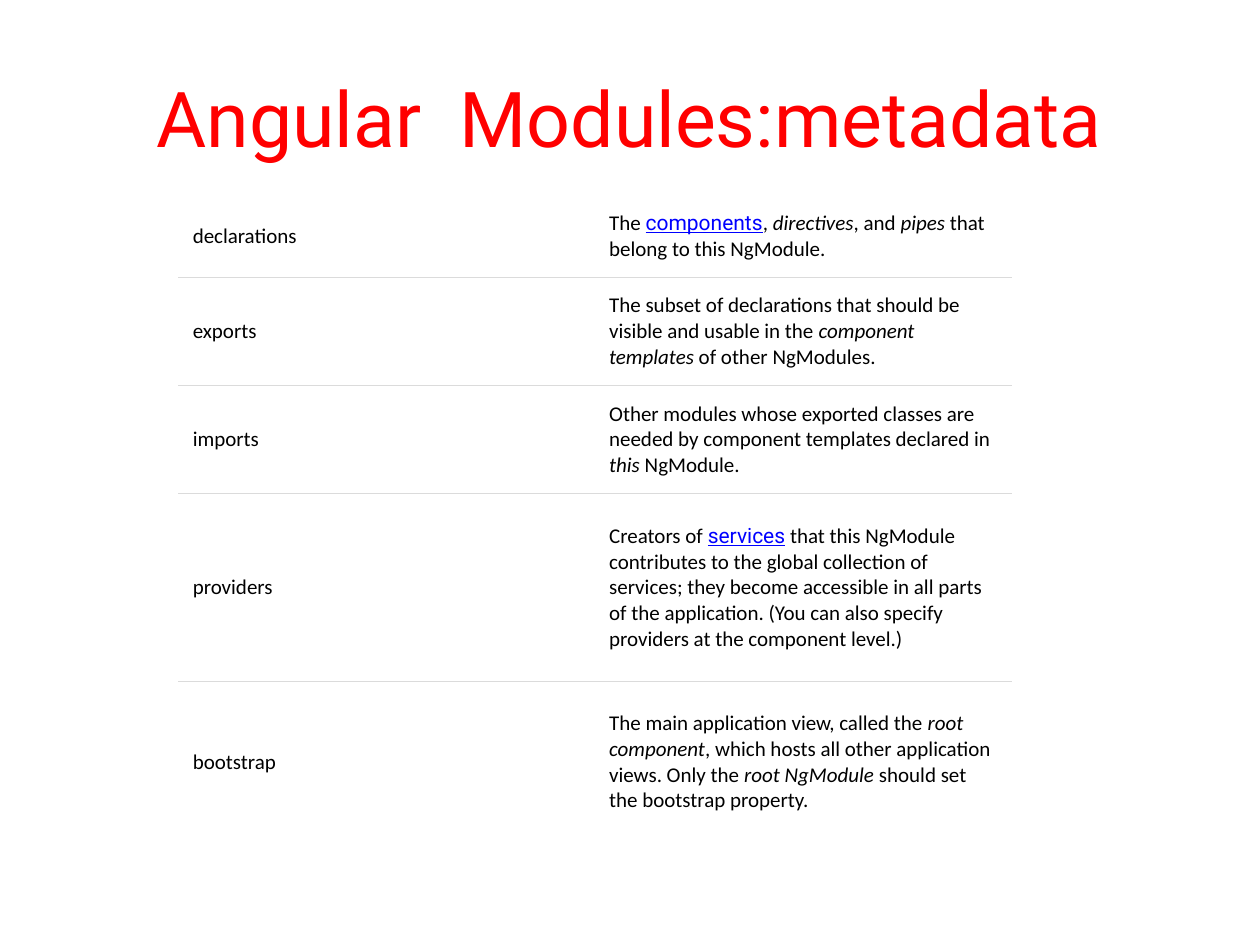
"""Builds a slide with a table of the metadata properties of Angular modules."""
from dataclasses import dataclass

import pptx
import pptx.dml.color
import pptx.enum.text
import pptx.oxml
import pptx.oxml.ns
import pptx.util

Inches = pptx.util.Inches
Pt = pptx.util.Pt
RGBColor = pptx.dml.color.RGBColor
MIDDLE = pptx.enum.text.MSO_ANCHOR.MIDDLE
CENTER = pptx.enum.text.PP_ALIGN.CENTER

RED = RGBColor(0xFF, 0x00, 0x00)
BLUE = RGBColor(0x00, 0x00, 0xFF)
BLACK = RGBColor(0x00, 0x00, 0x00)
WHITE = RGBColor(0xFF, 0xFF, 0xFF)
RULE_GRAY = RGBColor(0xDB, 0xDB, 0xDB)

COLUMN_WIDTH = Inches(3.305)
CELL_MARGIN = Inches(0.11)


@dataclass(frozen=True)
class Span:
    text: str
    italic: bool = False
    term: bool = False


@dataclass(frozen=True)
class Property:
    name: str
    height: float
    description: tuple[Span, ...]


PROPERTIES = (
    Property("declarations", 0.65, (
        Span("The "), Span("components", term=True), Span(", "),
        Span("directives", italic=True), Span(", and "),
        Span("pipes", italic=True), Span(" that belong to this NgModule."),
    )),
    Property("exports", 0.86, (
        Span("The subset of declarations that should be visible and usable in the "),
        Span("component templates", italic=True), Span(" of other NgModules."),
    )),
    Property("imports", 0.86, (
        Span("Other modules whose exported classes are needed by component "
             "templates declared in "),
        Span("this ", italic=True), Span("NgModule."),
    )),
    Property("providers", 1.49, (
        Span("Creators of "), Span("services", term=True),
        Span(" that this NgModule contributes to the global collection of services; "
             "they become accessible in all parts of the application. "
             "(You can also specify providers at the component level.)"),
    )),
    Property("bootstrap", 1.28, (
        Span("The main application view, called the "),
        Span("root component", italic=True),
        Span(", which hosts all other application views. Only the "),
        Span("root NgModule", italic=True),
        Span(" should set the bootstrap property."),
    )),
)


def add_text(paragraph, text: str, *, size: float = 12, font: str = "Calibri",
             color: RGBColor = BLACK, italic: bool = False,
             underline: bool = False) -> None:
    run = paragraph.add_run()
    run.text = text
    run.font.size = Pt(size)
    run.font.name = font
    run.font.color.rgb = color
    run.font.italic = italic
    run.font.underline = underline


def add_title(slide, text: str) -> None:
    title = slide.shapes.add_textbox(Inches(0.5), Inches(0.3), Inches(9), Inches(1.25))
    frame = title.text_frame
    frame.word_wrap = True
    frame.vertical_anchor = MIDDLE
    heading = frame.paragraphs[0]
    heading.alignment = CENTER
    add_text(heading, text, size=44, font="Roboto", color=RED)


def draw_rules(cell, edges: list[str]) -> None:
    properties = cell._tc.get_or_add_tcPr()
    for position, edge in enumerate(edges):
        rule = pptx.oxml.parse_xml(
            f'<a:{edge} {pptx.oxml.ns.nsdecls("a")} w="{Pt(0.75)}"><a:solidFill>'
            f'<a:srgbClr val="{RULE_GRAY}"/></a:solidFill></a:{edge}>')
        properties.insert(position, rule)


def fill_cell(cell, spans: tuple[Span, ...], edges: list[str]) -> None:
    cell.fill.solid()
    cell.fill.fore_color.rgb = WHITE
    cell.vertical_anchor = MIDDLE
    cell.margin_left = cell.margin_right = CELL_MARGIN
    cell.margin_top = cell.margin_bottom = CELL_MARGIN
    for span in spans:
        add_text(cell.text_frame.paragraphs[0], span.text, italic=span.italic,
                 underline=span.term, font="Roboto" if span.term else "Calibri",
                 color=BLUE if span.term else BLACK)
    draw_rules(cell, edges)


def add_property_table(slide, properties: tuple[Property, ...]) -> None:
    total_height = Inches(sum(entry.height for entry in properties))
    table = slide.shapes.add_table(len(properties), 2, Inches(1.42), Inches(1.55),
                                   2 * COLUMN_WIDTH, total_height).table
    table.first_row = False
    table.horz_banding = False
    for index, entry in enumerate(properties):
        table.rows[index].height = Inches(entry.height)
        edges = ["lnT"] if index > 0 else []
        if index < len(properties) - 1:
            edges.append("lnB")
        fill_cell(table.cell(index, 0), (Span(entry.name),), edges)
        fill_cell(table.cell(index, 1), entry.description, edges)


def main() -> None:
    presentation = pptx.Presentation()
    presentation.slide_width = Inches(10)
    presentation.slide_height = Inches(7.5)
    slide = presentation.slides.add_slide(presentation.slide_layouts[6])
    add_title(slide, "Angular  Modules:metadata")
    add_property_table(slide, PROPERTIES)
    presentation.save("out.pptx")


if __name__ == "__main__":
    main()
